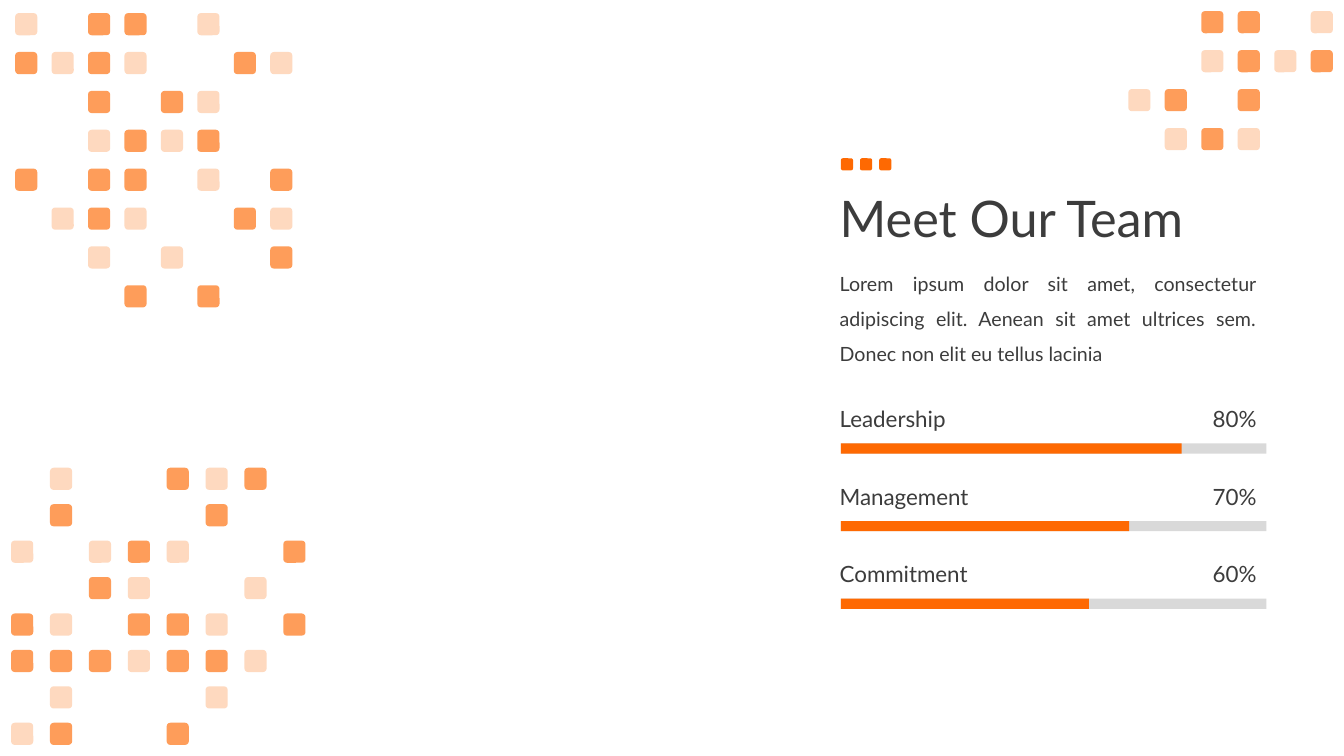
from lxml.etree import SubElement
from pptx import Presentation
from pptx.dml.color import RGBColor
from pptx.enum.shapes import MSO_SHAPE as Shape
from pptx.enum.text import MSO_ANCHOR as Anchor, MSO_AUTO_SIZE as AutoSize, PP_ALIGN as Align
from pptx.oxml.ns import qn
from pptx.util import Inches, Pt

COLORS = {"accent": "FE6902", "track": "D9D9D9", "text": "3C3C3C"}
FONT = "Lato"
OPACITY = {"#": 65, "o": 25}
TILE = 0.22

TOP_LEFT = [
    "o.##.o..",
    "#o#o..#o",
    "..#.#o..",
    "..o#o#..",
    "#.##.o.#",
    ".o#o..#o",
    "..o.o..#",
    "...#.#..",
]
BOTTOM_LEFT = [
    ".o..#o#.",
    ".#...#..",
    "o.o#o..#",
    "..#o..o.",
    "#o.##o.#",
    "###o##o.",
    ".o...o..",
    "o#..#...",
]
TOP_RIGHT = [
    "..##.o",
    "..o#o#",
    "o#.#..",
    ".o#o..",
]
SKILLS = [
    ("Leadership", "80%", 3.38),
    ("Management", "70%", 2.86),
    ("Commitment", "60%", 2.46),
]


def add_block(shapes, kind, left, top, width, height, color, opacity=100):
    """Add a filled shape without outline or shadow."""
    block = shapes.add_shape(kind, Inches(left), Inches(top), Inches(width), Inches(height))
    block.shadow.inherit = False
    block.line.fill.background()
    block.fill.solid()
    block.fill.fore_color.rgb = RGBColor.from_string(COLORS[color])
    if opacity < 100:
        tint = block.fill._xPr.find(f".//{qn('a:srgbClr')}")
        SubElement(tint, qn("a:alpha"), val=str(opacity * 1000))
    return block


def add_text(page, text, left, top, width, height, size=16, align=Align.LEFT,
             anchor=Anchor.MIDDLE, spacing=1.0, auto_size=AutoSize.SHAPE_TO_FIT_TEXT):
    """Add a wrapped text box with one formatted paragraph."""
    box = page.shapes.add_textbox(Inches(left), Inches(top), Inches(width), Inches(height))
    frame = box.text_frame
    frame.word_wrap = True
    frame.auto_size = auto_size
    frame.vertical_anchor = anchor
    para = frame.paragraphs[0]
    para.alignment = align
    para.line_spacing = spacing
    span = para.add_run()
    span.text = text
    span.font.name = FONT
    span.font.size = Pt(size)
    span.font.color.rgb = RGBColor.from_string(COLORS["text"])


def add_mosaic(page, pattern, left, top, last_left, last_top):
    """Spread the tiles of a pattern evenly between its first and last cells."""
    tiles = page.shapes.add_group_shape().shapes
    column_step = (last_left - left) / (len(pattern[0]) - 1)
    row_step = (last_top - top) / (len(pattern) - 1)
    for row, line in enumerate(pattern):
        for column, mark in enumerate(line):
            if mark in OPACITY:
                add_block(tiles, Shape.ROUNDED_RECTANGLE, left + column * column_step,
                          top + row * row_step, TILE, TILE, "accent", OPACITY[mark])


def add_dots(page):
    """Add the row of three small squares above the title."""
    dots = page.shapes.add_group_shape().shapes
    for index in range(3):
        add_block(dots, Shape.ROUNDED_RECTANGLE, 8.34 + index * 0.19, 1.57, 0.12, 0.12, "accent")


def add_skill(page, name, share, filled, top):
    """Add a label, its percentage and a progress bar."""
    add_text(page, name, 8.23, top, 2.07, 0.37)
    add_text(page, share, 11.5, top, 1.06, 0.37, align=Align.RIGHT)
    for width, color in ((4.22, "track"), (filled, "accent")):
        add_block(page.shapes, Shape.RECTANGLE, 8.34, top + 0.43, width, 0.1, color)


def main():
    """Build the team slide and save it."""
    deck = Presentation()
    deck.slide_width, deck.slide_height = Inches(13.33), Inches(7.5)
    page = deck.slides.add_slide(deck.slide_layouts[6])
    add_mosaic(page, TOP_LEFT, 0.15, 0.13, 2.68, 2.83)
    add_mosaic(page, BOTTOM_LEFT, 0.11, 4.64, 2.81, 7.17)
    add_text(page, "Meet Our Team", 8.23, 1.47, 11.5, 1.45, size=36, spacing=0.9,
             auto_size=AutoSize.NONE)
    add_text(page, "Lorem ipsum dolor sit amet, consectetur adipiscing elit. "
             "Aenean sit amet ultrices sem. Donec non elit eu tellus lacinia",
             8.23, 2.53, 4.33, 1.11, size=14, align=Align.JUSTIFY,
             anchor=Anchor.TOP, spacing=1.5)
    for index, (name, share, filled) in enumerate(SKILLS):
        add_skill(page, name, share, filled, 3.97 + index * 0.77)
    add_mosaic(page, TOP_RIGHT, 11.19, 0.11, 13, 1.27)
    add_dots(page)
    deck.save("out.pptx")


if __name__ == "__main__":
    main()
